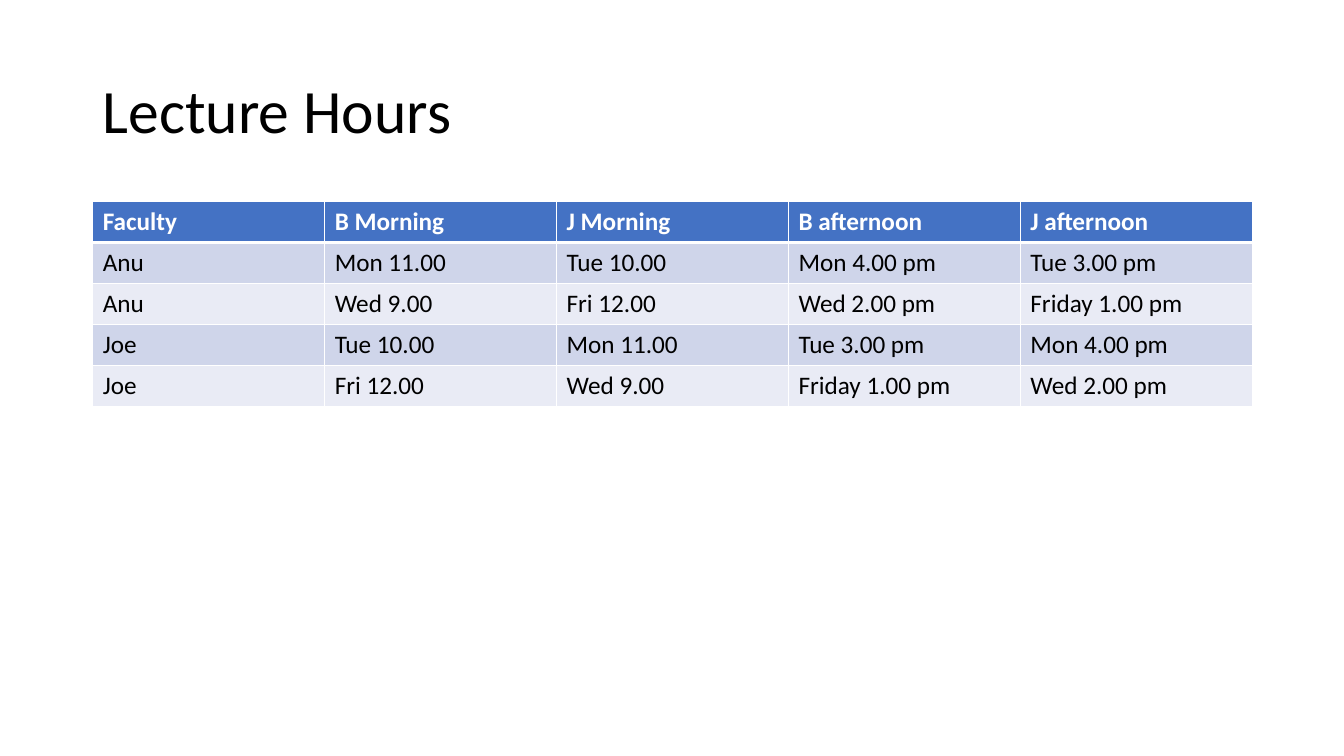
import pptx
import pptx.util
import pptx.dml.color
import pptx.enum.text
import pptx.oxml
import pptx.oxml.ns

FONT = "Calibri"
HEADER_FILL = "4472C4"
BAND_FILLS = ["CFD5EA", "E9EBF5"]
LECTURES = [
    ["Faculty", "B Morning", "J Morning", "B afternoon", "J afternoon"],
    ["Anu", "Mon 11.00", "Tue 10.00", "Mon 4.00 pm", "Tue 3.00 pm"],
    ["Anu", "Wed 9.00", "Fri 12.00", "Wed 2.00 pm", "Friday 1.00 pm"],
    ["Joe", "Tue 10.00", "Mon 11.00", "Tue 3.00 pm", "Mon 4.00 pm"],
    ["Joe", "Fri 12.00", "Wed 9.00", "Friday 1.00 pm", "Wed 2.00 pm"],
]


def color(value):
    return pptx.dml.color.RGBColor.from_string(value)


def add_run(p, text, size, fill, bold=False):
    r = p.add_run()
    r.text = text
    r.font.name = FONT
    r.font.size = pptx.util.Pt(size)
    r.font.bold = bold
    r.font.color.rgb = color(fill)


def set_borders(cell, widths):
    tcPr = cell._tc.get_or_add_tcPr()
    for i, (side, width) in enumerate(zip("LRTB", widths)):
        tcPr.insert(i, pptx.oxml.parse_xml(
            f'<a:ln{side} {pptx.oxml.ns.nsdecls("a")} w="{pptx.util.Pt(width)}">'
            f'<a:solidFill><a:srgbClr val="FFFFFF"/></a:solidFill></a:ln{side}>'))


def place_title(s, text, left, top, width, height):
    title = s.shapes.title
    title.left, title.top, title.width, title.height = left, top, width, height
    tf = title.text_frame
    tf.word_wrap = True
    tf.vertical_anchor = pptx.enum.text.MSO_ANCHOR.MIDDLE
    p = tf.paragraphs[0]
    p.alignment = pptx.enum.text.PP_ALIGN.LEFT
    p.line_spacing = 0.9
    add_run(p, text, 44, "000000")


def place_table(s, rows, left, top, width, height):
    table = s.shapes.add_table(len(rows), len(rows[0]), left, top, width, height).table
    for i, row in enumerate(rows):
        header = i == 0
        for j, text in enumerate(row):
            cell = table.cell(i, j)
            cell.fill.solid()
            cell.fill.fore_color.rgb = color(HEADER_FILL if header else BAND_FILLS[(i - 1) % 2])
            set_borders(cell, [1, 1, 3 if i == 1 else 1, 3 if header else 1])
            add_run(cell.text_frame.paragraphs[0], text, 18,
                    "FFFFFF" if header else "000000", header)


def main():
    prs = pptx.Presentation()
    prs.slide_width = pptx.util.Inches(13.33)
    prs.slide_height = pptx.util.Inches(7.5)
    s = prs.slides.add_slide(prs.slide_layouts[5])
    left = pptx.util.Inches(0.92)
    width = pptx.util.Inches(11.5)
    place_title(s, "Lecture Hours", left, pptx.util.Inches(0.4), width, pptx.util.Inches(1.45))
    place_table(s, LECTURES, left, pptx.util.Inches(2), width, pptx.util.Inches(2.03))
    prs.save("out.pptx")


if __name__ == "__main__":
    main()
